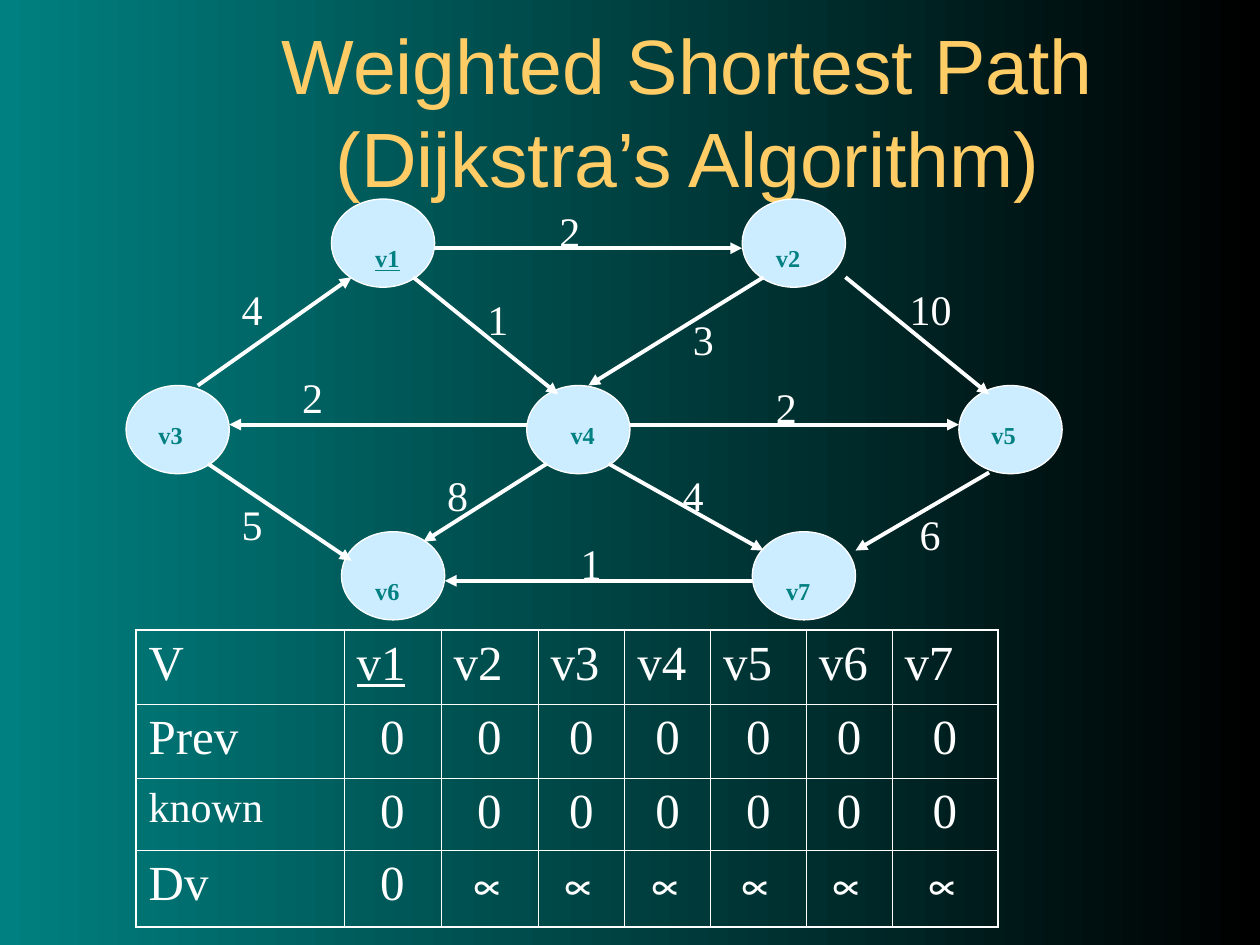
from typing import NamedTuple

import lxml.etree
import pptx
import pptx.dml.color
import pptx.enum.shapes
import pptx.enum.text
import pptx.oxml
import pptx.oxml.ns
import pptx.util

Inches = pptx.util.Inches
Pt = pptx.util.Pt
RGBColor = pptx.dml.color.RGBColor
Align = pptx.enum.text.PP_ALIGN

TEAL = RGBColor(0x00, 0x80, 0x80)
BLACK = RGBColor(0x00, 0x00, 0x00)
WHITE = RGBColor(0xFF, 0xFF, 0xFF)
PALE_BLUE = RGBColor(0xCC, 0xEC, 0xFF)
GOLD = RGBColor(0xFF, 0xCC, 0x66)
SERIF = "Times New Roman"
SANS = "Arial"
VERTEX_WIDTH, VERTEX_HEIGHT = 0.82, 0.7


class Vertex(NamedTuple):
    name: str
    left: float
    top: float
    label_left: float
    label_top: float


class Edge(NamedTuple):
    start: tuple[float, float]
    end: tuple[float, float]
    weight: str
    weight_left: float
    weight_top: float


START_VERTEX = "v1"
VERTICES = [
    Vertex("v1", 2.63, 1.58, 2.88, 1.66),
    Vertex("v2", 5.89, 1.58, 6.06, 1.66),
    Vertex("v3", 1.0, 3.06, 1.16, 3.06),
    Vertex("v4", 4.18, 3.06, 4.43, 3.06),
    Vertex("v5", 7.61, 3.06, 7.77, 3.06),
    Vertex("v6", 2.71, 4.22, 2.88, 4.3),
    Vertex("v7", 5.97, 4.22, 6.14, 4.3),
]
EDGES = [
    Edge((3.45, 1.97), (5.89, 1.97), "2", 4.34, 1.58),
    Edge((3.28, 2.2), (4.43, 3.13), "1", 3.77, 2.28),
    Edge((6.06, 2.2), (4.67, 3.06), "3", 5.4, 2.44),
    Edge((6.71, 2.2), (7.85, 3.13), "10", 7.12, 2.2),
    Edge((1.57, 3.06), (2.79, 2.2), "4", 1.82, 2.2),
    Edge((1.65, 3.68), (2.79, 4.45), "5", 1.82, 3.91),
    Edge((4.18, 3.37), (1.82, 3.37), "2", 2.3, 2.9),
    Edge((5.0, 3.37), (7.61, 3.37), "2", 6.06, 2.98),
    Edge((4.34, 3.68), (3.36, 4.3), "8", 3.45, 3.68),
    Edge((4.83, 3.68), (6.06, 4.37), "4", 5.32, 3.68),
    Edge((7.85, 3.75), (6.79, 4.37), "6", 7.2, 3.99),
    Edge((5.97, 4.61), (3.53, 4.61), "1", 4.51, 4.22),
]
COLUMN_WIDTHS = [1.65, 0.77, 0.77, 0.69, 0.68, 0.76, 0.68, 0.84]
ROW_HEIGHTS = [0.59, 0.59, 0.57, 0.61]
STATE_ROWS = [
    ["V"] + [vertex.name for vertex in VERTICES],
    ["Prev"] + ["0"] * 7,
    ["known"] + ["0"] * 7,
    ["Dv", "0", "∝", "∝ ", "∝", "∝", "∝", "∝"],
]


def add_run(paragraph, text: str, size: float, color: RGBColor, face: str = SERIF):
    run = paragraph.add_run()
    run.text = text
    run.font.size = Pt(size)
    run.font.name = face
    run.font.color.rgb = color
    return run


def add_text_frame(slide, left: float, top: float, width: float, height: float):
    frame = slide.shapes.add_textbox(
        Inches(left), Inches(top), Inches(width), Inches(height)).text_frame
    frame.word_wrap = True
    return frame


def draw_title(slide) -> None:
    title = add_text_frame(slide, 1.42, 0.25, 8.08, 1.25)
    title.vertical_anchor = pptx.enum.text.MSO_ANCHOR.MIDDLE
    title.paragraphs[0].alignment = Align.CENTER
    add_run(title.paragraphs[0], "Weighted Shortest Path (Dijkstra’s Algorithm)",
            44, GOLD, SANS)


def draw_vertex(slide, vertex: Vertex) -> None:
    circle = slide.shapes.add_shape(
        pptx.enum.shapes.MSO_SHAPE.OVAL, Inches(vertex.left), Inches(vertex.top),
        Inches(VERTEX_WIDTH), Inches(VERTEX_HEIGHT))
    circle.shadow.inherit = False
    circle.fill.solid()
    circle.fill.fore_color.rgb = PALE_BLUE
    circle.line.color.rgb = WHITE
    circle.line.width = Pt(0.75)


def draw_vertex_label(slide, vertex: Vertex) -> None:
    label = add_text_frame(slide, vertex.label_left, vertex.label_top, 0.9, 0.56)
    name = add_run(label.paragraphs[0], vertex.name, 24, TEAL)
    name.font.bold = True
    if vertex.name == START_VERTEX:
        name.font.underline = True
    name.font._element.set("baseline", "-25000")


def draw_edge(slide, edge: Edge) -> None:
    arrow = slide.shapes.add_connector(
        pptx.enum.shapes.MSO_CONNECTOR.STRAIGHT,
        *(Inches(value) for value in edge.start + edge.end))
    arrow.line.color.rgb = WHITE
    arrow.line.width = Pt(2.25)
    lxml.etree.SubElement(arrow.line._get_or_add_ln(),
                          pptx.oxml.ns.qn("a:tailEnd"), type="triangle")
    lxml.etree.SubElement(arrow._element.spPr, pptx.oxml.ns.qn("a:effectLst"))


def draw_weight(slide, edge: Edge) -> None:
    width = 0.41 if len(edge.weight) == 1 else 0.65
    label = add_text_frame(slide, edge.weight_left, edge.weight_top, width, 0.5)
    add_run(label.paragraphs[0], edge.weight, 24, WHITE)


def set_border(cell, side: str, width: float) -> None:
    border = pptx.oxml.parse_xml(
        f'<a:ln{side} {pptx.oxml.ns.nsdecls("a")} w="{Pt(width)}"><a:solidFill>'
        f'<a:srgbClr val="{WHITE}"/></a:solidFill></a:ln{side}>')
    cell._tc.get_or_add_tcPr().append(border)


def draw_state_table(slide) -> None:
    table = slide.shapes.add_table(
        len(ROW_HEIGHTS), len(COLUMN_WIDTHS), Inches(1.08), Inches(5),
        Inches(sum(COLUMN_WIDTHS)), Inches(sum(ROW_HEIGHTS))).table
    table.first_row = False
    table.horz_banding = False
    for column, width in zip(table.columns, COLUMN_WIDTHS):
        column.width = Inches(width)
    for row, height in zip(table.rows, ROW_HEIGHTS):
        row.height = Inches(height)
    last_row, last_column = len(ROW_HEIGHTS) - 1, len(COLUMN_WIDTHS) - 1
    for r, values in enumerate(STATE_ROWS):
        for c, value in enumerate(values):
            cell = table.cell(r, c)
            cell.margin_left = cell.margin_right = Inches(0.1)
            cell.margin_top = cell.margin_bottom = Inches(0.05)
            outer_sides = {"L": c == 0, "R": c == last_column,
                           "T": r == 0, "B": r == last_row}
            for side, is_outer in outer_sides.items():
                set_border(cell, side, 1.08 if is_outer else 0.45)
            cell.fill.background()
            paragraph = cell.text_frame.paragraphs[0]
            paragraph.alignment = Align.CENTER if r and c else Align.LEFT
            entry = add_run(paragraph, value, 24 if value == "known" else 28, WHITE,
                            SANS if value.startswith("∝") else SERIF)
            if value == START_VERTEX:
                entry.font.underline = True


def main() -> None:
    deck = pptx.Presentation()
    deck.slide_width, deck.slide_height = Inches(10), Inches(7.5)
    slide = deck.slides.add_slide(deck.slide_layouts[6])
    backdrop = slide.background.fill
    backdrop.gradient()
    backdrop.gradient_angle = 0
    for stop, color in zip(backdrop.gradient_stops, (TEAL, BLACK)):
        stop.color.rgb = color

    draw_title(slide)
    for vertex in VERTICES:
        draw_vertex(slide, vertex)
    for edge in EDGES:
        draw_edge(slide, edge)
    for vertex in VERTICES:
        draw_vertex_label(slide, vertex)
    for edge in EDGES:
        draw_weight(slide, edge)
    draw_state_table(slide)
    deck.save("out.pptx")


if __name__ == "__main__":
    main()
